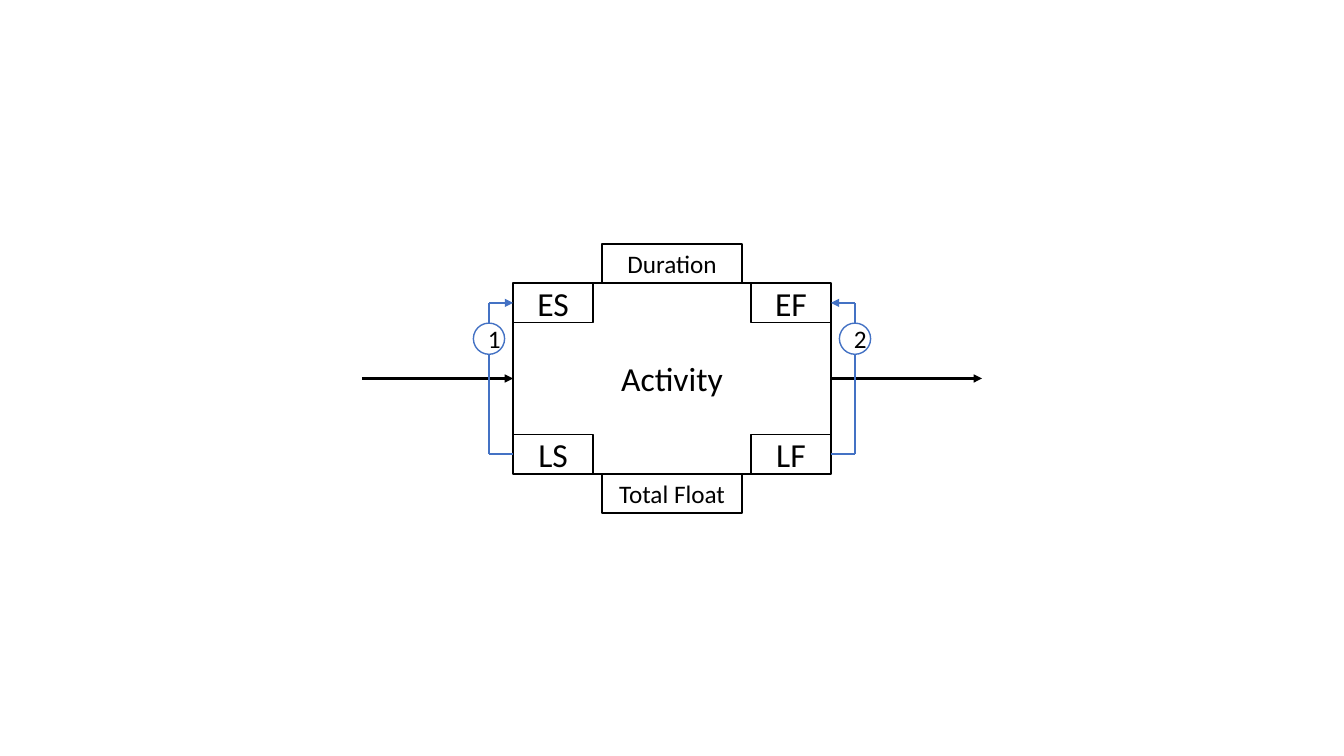
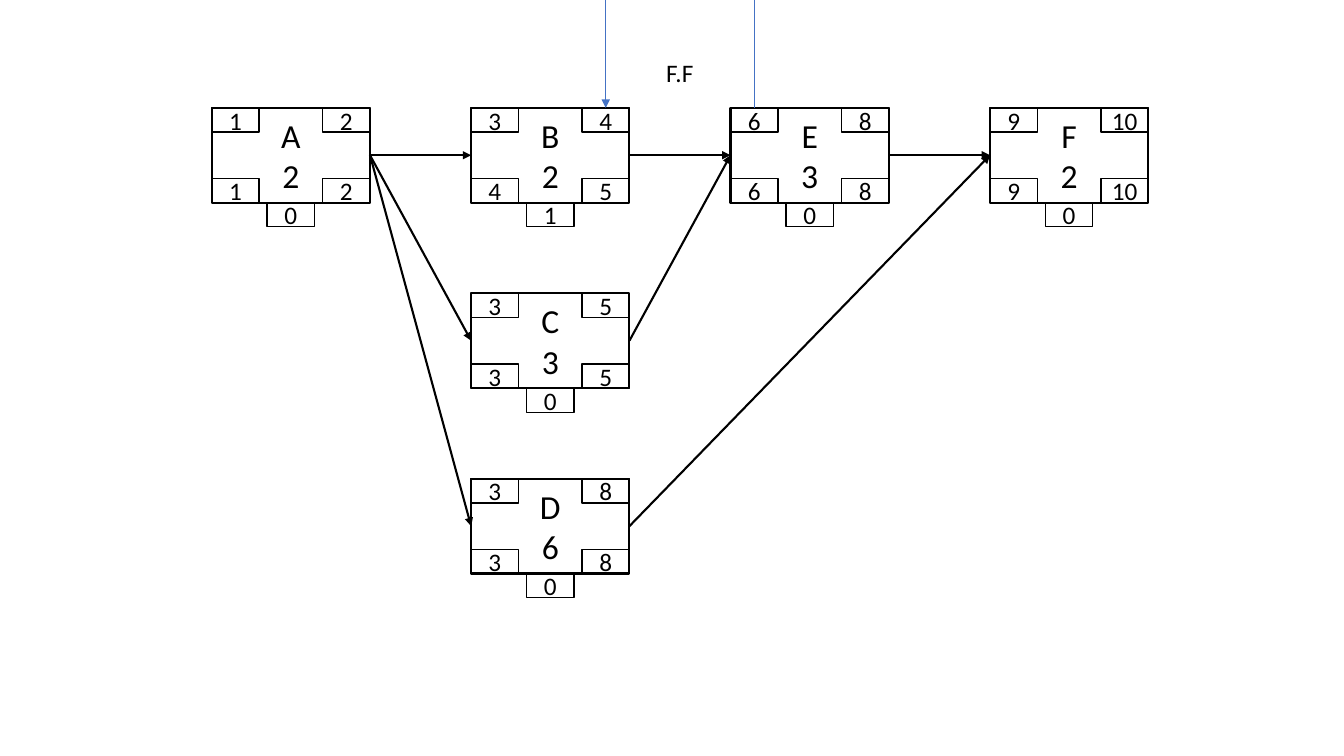
from itertools import pairwise

from lxml import etree
from pptx import Presentation
from pptx.dml.color import RGBColor
from pptx.enum.shapes import MSO_CONNECTOR, MSO_SHAPE
from pptx.enum.text import MSO_ANCHOR, PP_ALIGN
from pptx.oxml.ns import qn
from pptx.util import Inches, Pt

RECTANGLE = MSO_SHAPE.RECTANGLE
OVAL = MSO_SHAPE.OVAL
STRAIGHT = MSO_CONNECTOR.STRAIGHT
MIDDLE = MSO_ANCHOR.MIDDLE
CENTER = PP_ALIGN.CENTER
LEFT = PP_ALIGN.LEFT

FONT = "Calibri"
BLACK = "000000"
WHITE = "FFFFFF"
BLUE = "4472C4"
BLANK_LAYOUT = 6


def color(hex_string):
    """Turn a hex string into a colour."""
    return RGBColor.from_string(hex_string)


def write_text(text_frame, text, size=18, font_color=BLACK, align=CENTER):
    """Write one paragraph per line of text in the given format."""
    text_frame.text = text
    for paragraph in text_frame.paragraphs:
        paragraph.alignment = align
        paragraph.font.name = FONT
        paragraph.font.size = Pt(size)
        paragraph.font.color.rgb = color(font_color)


def add_box(shapes, box, text, size=18, kind=RECTANGLE, fill=WHITE, line=BLACK, weight=1):
    """Add an outlined shape with centred text."""
    shape = shapes.add_shape(kind, *map(Inches, box))
    shape.shadow.inherit = False
    if fill:
        shape.fill.solid()
        shape.fill.fore_color.rgb = color(fill)
    else:
        shape.fill.background()
    shape.line.color.rgb = color(line)
    shape.line.width = Pt(weight)
    shape.text_frame.word_wrap = True
    shape.text_frame.vertical_anchor = MIDDLE
    write_text(shape.text_frame, text, size)


def add_line(shapes, start, end, line=BLACK, weight=1.5, arrow=True):
    """Add a straight line, with an arrowhead at its end if wanted."""
    connector = shapes.add_connector(STRAIGHT, *map(Inches, (*start, *end)))
    connector.line.color.rgb = color(line)
    connector.line.width = Pt(weight)
    if arrow:
        etree.SubElement(connector.line._get_or_add_ln(), qn("a:tailEnd"), type="triangle")
    etree.SubElement(connector._element.spPr, qn("a:effectLst"))


def add_elbow_arrow(shapes, points):
    """Join points by blue lines that end in an arrowhead."""
    for start, end in pairwise(points):
        add_line(shapes, start, end, line=BLUE, weight=1, arrow=end == points[-1])


def add_activity(shapes, box, cell, corners, name, total_float, tab_width, corner_size=18, duration=None):
    """Add an activity with its corner cells and the tabs above and below it."""
    left, top, width, height = box
    cell_width, cell_height = cell
    right, bottom = left + width - cell_width, top + height - cell_height
    places = ((left, top), (right, top), (left, bottom), (right, bottom))
    for place, text in zip(places, corners):
        add_box(shapes, (*place, *cell), text, corner_size)
    tab_left = left + (width - tab_width) / 2
    if duration:
        add_box(shapes, (tab_left, top - cell_height, tab_width, cell_height), duration)
    add_box(shapes, (tab_left, top + height, tab_width, cell_height), total_float)
    add_box(shapes, box, name, 24, fill=None, weight=1.5)


def add_step(shapes, edge, direction, top, bottom, number):
    """Add a numbered arrow that loops from bottom to top beside an edge."""
    bend = edge + direction * 0.24
    add_elbow_arrow(shapes, [(edge, bottom), (bend, bottom), (bend, top), (edge, top)])
    diameter = 0.31
    add_box(shapes, (bend - diameter / 2, top + 0.2, diameter, diameter), number, kind=OVAL, line=BLUE)


def build_legend_slide(slide, box):
    """Explain the parts of an activity."""
    shapes = slide.shapes
    left, top, width, height = box
    right, middle = left + width, top + height / 2
    cell = (0.79, 0.39)
    add_activity(shapes, box, cell, ("ES", "EF", "LS", "LF"), "Activity", "Total Float",
                 1.39, corner_size=24, duration="Duration")
    arrow_length = 1.5
    for start in (left - arrow_length, right):
        add_line(shapes, (start, middle), (start + arrow_length, middle), weight=2)
    upper, lower = top + cell[1] / 2, top + height - cell[1] / 2
    add_step(shapes, left, -1, upper, lower, "1")
    add_step(shapes, right, 1, upper, lower, "2")


def build_network_slide(slide, box):
    """Lay the activities out on a grid and link them."""
    shapes = slide.shapes
    left, top, width, height = box
    column_step, row_step = 2.573, 1.84
    cell = (0.47, 0.24)
    activities = {
        "C": (1, 1, "3", ("3", "5", "3", "5"), "0"),
        "E": (2, 0, "3", ("6", "8", "6", "8"), "0"),
        "D": (1, 2, "6", ("3", "8", "3", "8"), "0"),
        "B": (1, 0, "2", ("3", "4", "4", "5"), "1"),
        "F": (3, 0, "2", ("9", "10", "9", "10"), "0"),
        "A": (0, 0, "2", ("1", "2", "1", "2"), "0"),
    }
    places = {}
    for name, (column, row, duration, corners, total_float) in activities.items():
        place = (left + column * column_step, top + row * row_step)
        places[name] = place
        group = slide.shapes.add_group_shape()
        add_activity(group.shapes, (*place, width, height), cell, corners,
                     f"{name}\n{duration}", total_float, cell[0])
    for source, target in ("AB", "BE", "EF", "AC", "AD", "CE", "DF"):
        source_left, source_top = places[source]
        target_left, target_top = places[target]
        add_line(shapes, (source_left + width, source_top + height / 2),
                 (target_left, target_top + height / 2))
    early_finish = places["B"][0] + width - cell[0] / 2
    early_start = places["E"][0] + cell[0] / 2
    add_line(shapes, (early_start, top), (early_start, 0), line=BLUE, weight=1, arrow=False)
    add_line(shapes, (early_finish, 0), (early_finish, top), line=BLUE, weight=1)
    label = shapes.add_textbox(*map(Inches, (6.51, 0.52, 0.47, 0.4)))
    label.text_frame.word_wrap = False
    write_text(label.text_frame, "F.F", align=LEFT)


def main():
    """Build and save the presentation."""
    presentation = Presentation()
    presentation.slide_width, presentation.slide_height = Inches(13.33), Inches(7.5)
    layout = presentation.slide_layouts[BLANK_LAYOUT]
    build_legend_slide(presentation.slides.add_slide(layout), (5.09, 2.81, 3.15, 1.89))
    build_network_slide(presentation.slides.add_slide(layout), (2.1, 1.07, 1.57, 0.94))
    presentation.save("out.pptx")


main()
